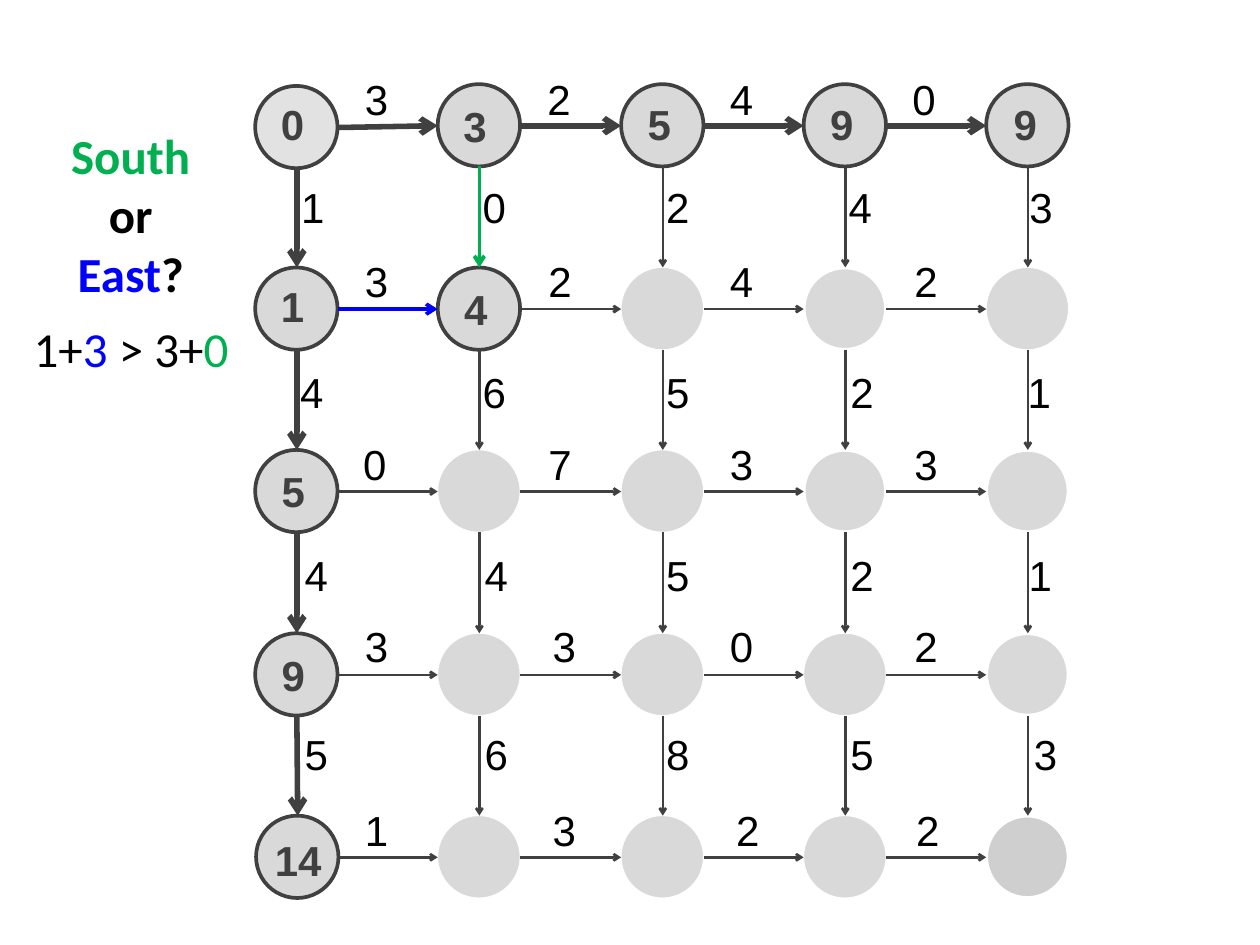
from lxml.etree import SubElement
from pptx import Presentation
from pptx.dml.color import RGBColor
from pptx.enum.shapes import MSO_CONNECTOR, MSO_SHAPE
from pptx.enum.text import MSO_ANCHOR, MSO_AUTO_SIZE, PP_ALIGN
from pptx.oxml.ns import qn
from pptx.util import Emu, Pt


class Theme:
    black = RGBColor.from_string("000000")
    white = RGBColor.from_string("FFFFFF")
    dark = RGBColor.from_string("404040")
    node = RGBColor.from_string("D9D9D9")
    sink = RGBColor.from_string("BFBFBF")
    south = RGBColor.from_string("00B050")
    east = RGBColor.from_string("0000FF")
    digit_font, digit_size = "Arial", Pt(34.1)
    note_font, note_size = "Calibri", Pt(39.8)
    path_line, node_line, edge_line, thin_line = Pt(4.5), Pt(3), Pt(2), Pt(0.75)


def px(n):
    """Convert px, at 100 to the inch, to EMU."""
    return Emu(n * 9144)


def add_text(box, runs, font, size, bold=False):
    """Add a centred text box from (text, colour) runs."""
    tf = slide.shapes.add_textbox(*map(px, box)).text_frame
    tf.word_wrap = True
    tf.auto_size = MSO_AUTO_SIZE.SHAPE_TO_FIT_TEXT
    tf.vertical_anchor = MSO_ANCHOR.TOP
    tf.margin_left = tf.margin_right = px(10)
    tf.margin_top, tf.margin_bottom = px(9), px(5)
    p = tf.paragraphs[0]
    p.alignment = PP_ALIGN.CENTER
    for text, color in runs:
        r = p.add_run()
        r.text = text
        r.font.name, r.font.size, r.font.bold = font, size, bold
        r.font.color.rgb = color


prs = Presentation()
prs.slide_width, prs.slide_height = px(1422), px(1067)
slide = prs.slides.add_slide(prs.slide_layouts[6])

# Grid of nodes, keyed by (row, column)
N, NODE, HALF = 5, 93, 47
nodes = {(r, c): (288 + (825 * c + 2) // 4, 95 + (826 * r + 2) // 4)
         for r in range(N) for c in range(N)}
nodes[0, 0] = (288, 97)
nodes[4, 0] = (289, 921)

scores = {
    (0, 0): ("0", 307, 102), (0, 1): ("3", 513, 105), (0, 2): ("5", 721, 102),
    (0, 3): ("9", 927, 102), (0, 4): ("9", 1134, 102), (1, 0): ("1", 307, 308),
    (2, 0): ("5", 308, 517), (3, 0): ("9", 308, 724), (4, 0): ("14", 292, 933),
    (1, 1): ("4", 514, 311),
}
wide_rims = {(1, 3), (2, 3), (2, 4), (3, 4), (4, 4)}
source, sink = (0, 0), (4, 4)

for key, (x, y) in nodes.items():
    sp = slide.shapes.add_shape(MSO_SHAPE.OVAL, px(x), px(y), px(NODE), px(NODE))
    sp.shadow.inherit = False
    sp.fill.solid()
    sp.fill.fore_color.rgb = Theme.sink if key == sink else Theme.node
    if key in (source, sink):
        color = sp._element.spPr.find(qn("a:solidFill"))[0]
        SubElement(color, qn("a:alpha"), val="75000")
    sp.line.color.rgb = Theme.dark if key in scores else Theme.white
    wide = key in scores or key in wide_rims
    sp.line.width = Theme.node_line if wide else Theme.thin_line

# Arrows to the east and south neighbours
for (r, c), (x, y) in nodes.items():
    for dr, dc in ((0, 1), (1, 0)):
        target = (r + dr, c + dc)
        if target not in nodes:
            continue
        tx, ty = nodes[target]
        color, width = Theme.dark, Theme.edge_line
        if (dc and r == 0) or (dr and c == 0):
            width = Theme.path_line
        elif target == (1, 1):
            color, width = (Theme.east if dc else Theme.south), Theme.node_line
        start = (x + NODE, y + HALF) if dc else (x + HALF, y + NODE)
        end = (tx, ty + HALF) if dc else (tx + HALF, ty)
        cx = slide.shapes.add_connector(MSO_CONNECTOR.STRAIGHT, *map(px, start + end))
        cx.line.color.rgb, cx.line.width = color, width
        SubElement(cx.line._ln, qn("a:tailEnd"), type="arrow")
        SubElement(cx._element.spPr, qn("a:effectLst"))

# Edge weights: digits, top, left of each digit
weight_rows = [
    ("3240", 74, (402, 608, 814, 1020)),
    ("3242", 279, (402, 609, 814, 1022)),
    ("0733", 486, (400, 609, 814, 1022)),
    ("3302", 692, (402, 614, 814, 1022)),
    ("1322", 899, (402, 614, 821, 1024)),
    ("10243", 196, (330, 535, 742, 948, 1152)),
    ("46521", 405, (329, 535, 742, 950, 1150)),
    ("44521", 611, (334, 537, 742, 950, 1151)),
    ("56853", 814, (334, 537, 742, 950, 1157)),
]
for digits, top, lefts in weight_rows:
    for digit, left in zip(digits, lefts):
        add_text((left, top, 37, 68), [(digit, Theme.black)],
                 Theme.digit_font, Theme.digit_size)

for score, left, top in scores.values():
    add_text((left, top, 41 if len(score) == 1 else 89, 68), [(score, Theme.dark)],
             Theme.digit_font, Theme.digit_size, bold=True)

add_text((47, 133, 201, 211),
         [("South ", Theme.south), ("or ", Theme.black),
          ("East", Theme.east), ("?", Theme.black)],
         Theme.note_font, Theme.note_size, bold=True)
add_text((16, 351, 264, 77),
         [("1+", Theme.black), ("3", Theme.east),
          (" > 3+", Theme.black), ("0", Theme.south)],
         Theme.note_font, Theme.note_size)

prs.save("out.pptx")
